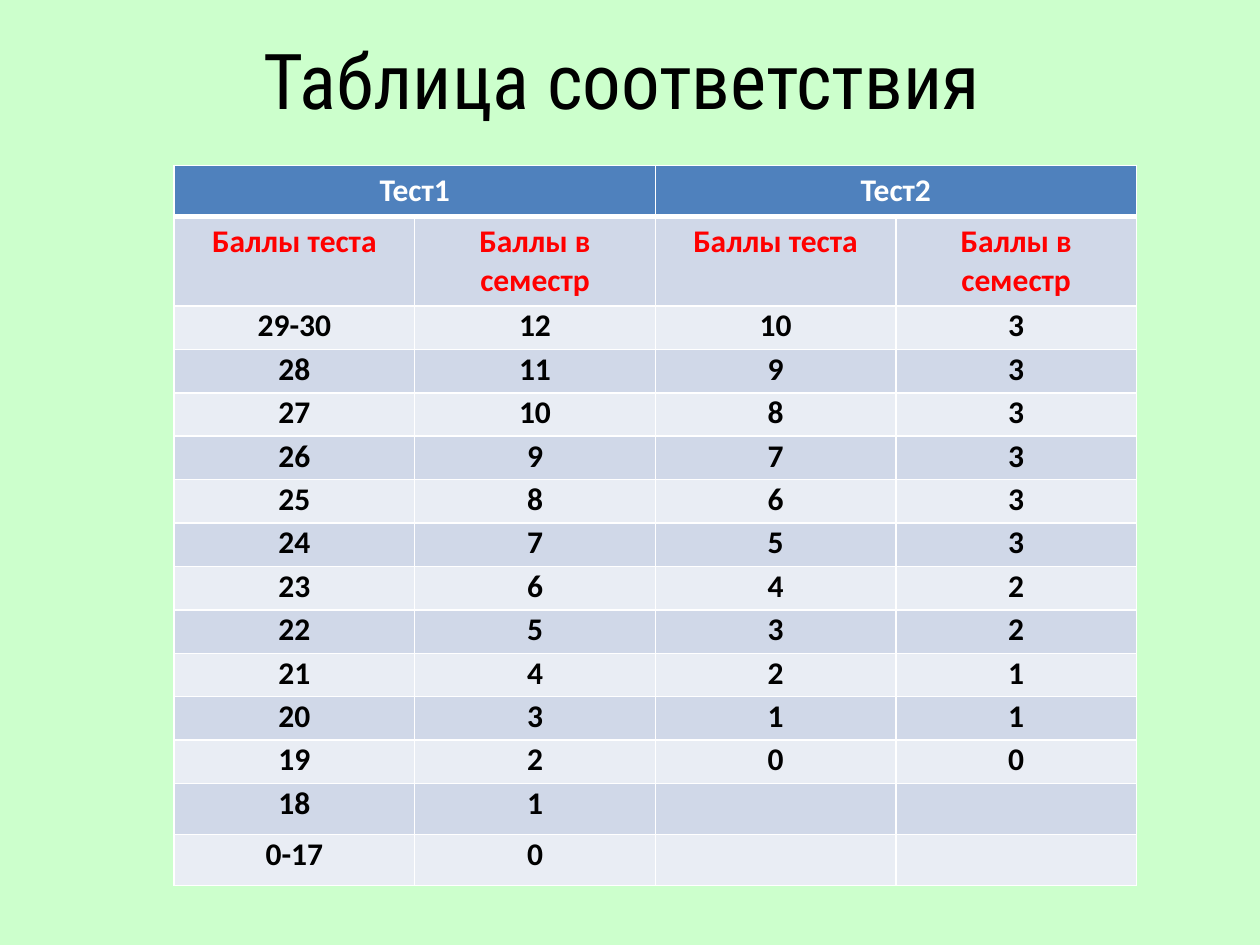
from lxml import etree
from pptx import Presentation
from pptx.dml.color import RGBColor
from pptx.enum.text import MSO_ANCHOR, PP_ALIGN
from pptx.oxml.ns import qn
from pptx.util import Pt

CENTER = PP_ALIGN.CENTER
MIDDLE = MSO_ANCHOR.MIDDLE

BACKGROUND = RGBColor(0xCC, 0xFF, 0xCC)
HEADER_FILL = RGBColor(0x4F, 0x81, 0xBD)
BAND_FILLS = (RGBColor(0xE9, 0xED, 0xF4), RGBColor(0xD0, 0xD8, 0xE8))
WHITE = RGBColor(0xFF, 0xFF, 0xFF)
RED = RGBColor(0xFF, 0x00, 0x00)
BLACK = RGBColor(0x00, 0x00, 0x00)

TITLE_FONT = "Roboto Condensed"
TABLE_FONT = "Calibri"
COLUMN_WIDTH = 137.5
ROW_HEIGHT = 23
SUBHEADER_HEIGHT = 39

ROWS = [
    ("Тест1", "", "Тест2", ""),
    ("Баллы теста", "Баллы в семестр") * 2,
    ("29-30", "12", "10", "3"),
    ("28", "11", "9", "3"),
    ("27", "10", "8", "3"),
    ("26", "9", "7", "3"),
    ("25", "8", "6", "3"),
    ("24", "7", "5", "3"),
    ("23", "6", "4", "2"),
    ("22", "5", "3", "2"),
    ("21", "4", "2", "1"),
    ("20", "3", "1", "1"),
    ("19", "2", "0", "0"),
    ("18", "1", "", ""),
    ("0-17", "0", "", ""),
]


def format_paragraph(paragraph, font_name, size, color, bold=False):
    paragraph.alignment = CENTER
    for run in paragraph.runs:
        run.font.name = font_name
        run.font.size = Pt(size)
        run.font.bold = bold
        run.font.color.rgb = color


def add_title(slide, text):
    title = slide.shapes.title
    title.left, title.top, title.width, title.height = Pt(36.5), Pt(0), Pt(648), Pt(90)
    title.text_frame.text = text
    title.text_frame.vertical_anchor = MIDDLE
    format_paragraph(title.text_frame.paragraphs[0], TITLE_FONT, 44, BLACK)


def set_borders(cell, top=1, bottom=1):
    """Draw white cell borders; top and bottom are widths in points."""
    properties = cell._tc.get_or_add_tcPr()
    widths = {"a:lnL": 1, "a:lnR": 1, "a:lnT": top, "a:lnB": bottom}
    for index, (tag, width) in enumerate(widths.items()):
        line = etree.Element(qn(tag), w=str(Pt(width)))
        fill = etree.SubElement(line, qn("a:solidFill"))
        etree.SubElement(fill, qn("a:srgbClr"), val=str(WHITE))
        properties.insert(index, line)


def fill_cell(cell, text, row_index):
    """Style a cell as header (row 0), subheader (row 1) or score."""
    color = {0: WHITE, 1: RED}.get(row_index, BLACK)
    cell.fill.solid()
    cell.fill.fore_color.rgb = HEADER_FILL if row_index == 0 else BAND_FILLS[row_index % 2]
    set_borders(cell, top=3 if row_index == 1 else 1, bottom=3 if row_index == 0 else 1)
    if text:
        cell.text_frame.text = text
        paragraph = cell.text_frame.paragraphs[0]
        format_paragraph(paragraph, TABLE_FONT, 18, color, bold=True)
        if row_index > 1:
            paragraph.line_spacing = 0.8


def add_score_table(slide):
    column_count = len(ROWS[0])
    frame = slide.shapes.add_table(
        len(ROWS), column_count, Pt(99.5), Pt(94.5), Pt(COLUMN_WIDTH * column_count), Pt(403)
    )
    table = frame.table
    for row_index, texts in enumerate(ROWS):
        table.rows[row_index].height = Pt(SUBHEADER_HEIGHT if row_index == 1 else ROW_HEIGHT)
        for column_index, text in enumerate(texts):
            fill_cell(table.cell(row_index, column_index), text, row_index)
    for column_index in range(0, column_count, 2):
        table.cell(0, column_index).merge(table.cell(0, column_index + 1))
    frame.height = Pt(403)


def main():
    presentation = Presentation()
    presentation.slide_width, presentation.slide_height = Pt(720), Pt(540)
    slide = presentation.slides.add_slide(presentation.slide_layouts[5])
    slide.background.fill.solid()
    slide.background.fill.fore_color.rgb = BACKGROUND
    add_title(slide, "Таблица соответствия ")
    add_score_table(slide)
    presentation.save("out.pptx")


if __name__ == "__main__":
    main()
